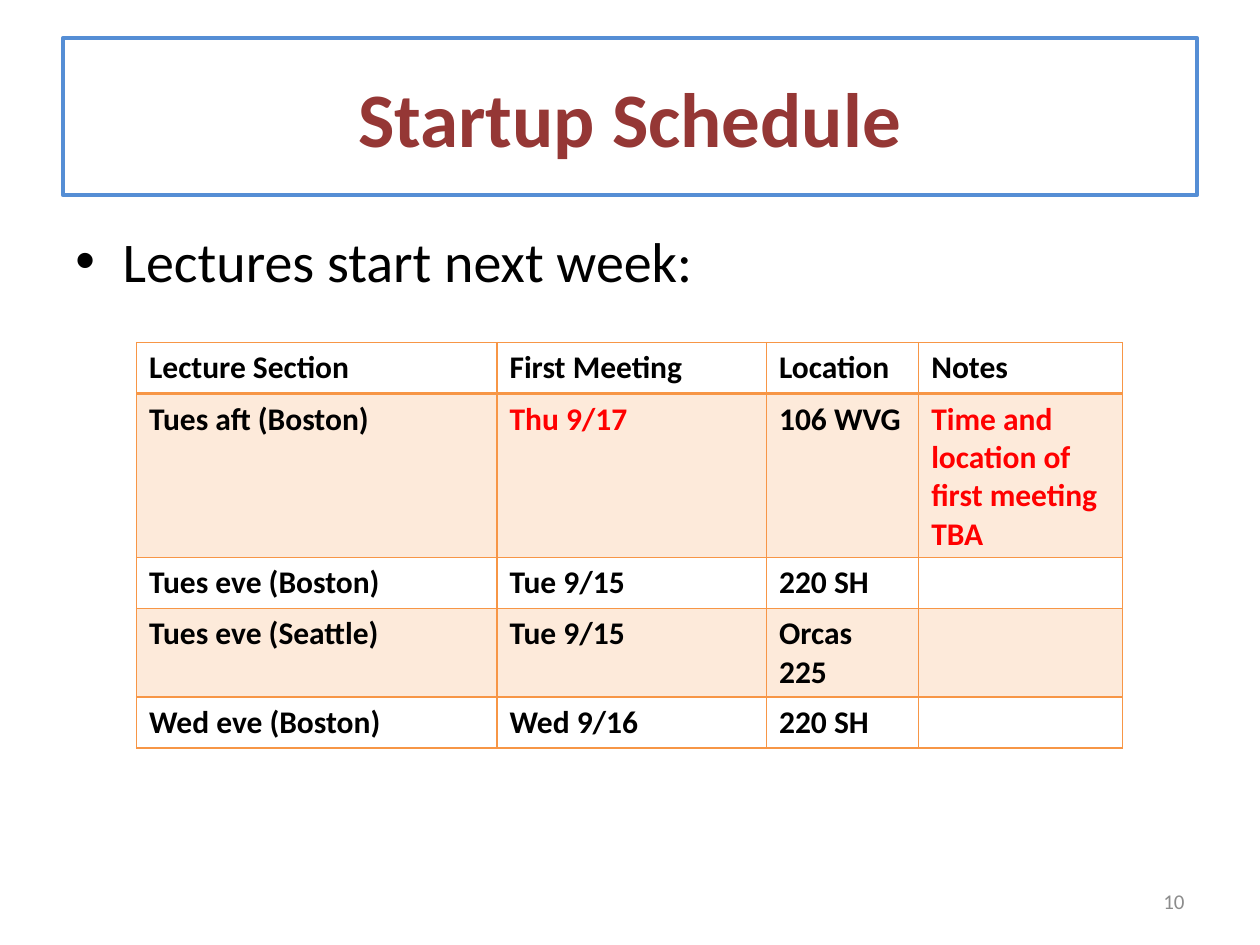
from lxml import etree
from pptx import Presentation
from pptx.dml.color import RGBColor
from pptx.enum.text import MSO_ANCHOR, PP_ALIGN
from pptx.oxml.ns import qn
from pptx.util import Pt

CENTER, RIGHT = PP_ALIGN.CENTER, PP_ALIGN.RIGHT
TOP, MIDDLE = MSO_ANCHOR.TOP, MSO_ANCHOR.MIDDLE

COLORS = {"title": "953735", "frame": "558ED5", "text": "000000",
          "alert": "FF0000", "number": "8C8C8C", "border": "F79646",
          "band": "FDEADA"}

TITLE = {"size": Pt(44), "bold": True}
BODY = {"size": Pt(32), "bold": False}
CELL = {"size": Pt(18), "bold": True}
NUMBER = {"size": Pt(12), "bold": False}

COLUMN_WIDTHS = [206, 154, 87, 116.6]
ROW_HEIGHT = 29.2
SCHEDULE = [
    ["Lecture Section", "First Meeting", "Location", "Notes"],
    ["Tues aft (Boston)", "Thu 9/17", "106 WVG",
     "Time and location of first meeting TBA"],
    ["Tues eve (Boston)", "Tue 9/15", "220 SH", ""],
    ["Tues eve (Seattle)", "Tue 9/15", "Orcas 225", ""],
    ["Wed eve (Boston)", "Wed 9/16", "220 SH", ""],
]
ALERT_CELLS = {(1, 1), (1, 3)}


def rgb(name):
    return RGBColor.from_string(COLORS[name])


def write(tf, text, values, color, align=None, anchor=TOP):
    """Fill a text frame with one formatted paragraph."""
    tf.word_wrap = True
    tf.vertical_anchor = anchor
    p = tf.paragraphs[0]
    p.alignment = align
    r = p.add_run()
    r.text = text
    for name, value in {"name": "Calibri", **values}.items():
        setattr(r.font, name, value)
    r.font.color.rgb = rgb(color)
    return p


def add_title(slide, left, top, width, height):
    sp = slide.shapes.title
    sp.left, sp.top, sp.width, sp.height = map(Pt, (left, top, width, height))
    sp.line.color.rgb = rgb("frame")
    sp.line.width = Pt(2.25)
    write(sp.text_frame, "Startup Schedule", TITLE, "title", CENTER, MIDDLE)


def add_text(slide, box, *content):
    sp = slide.shapes.add_textbox(*map(Pt, box))
    return write(sp.text_frame, *content)


def add_bullet(p, indent):
    pPr = p._p.get_or_add_pPr()
    pPr.set("marL", str(Pt(indent)))
    pPr.set("indent", str(-Pt(indent)))
    etree.SubElement(pPr, qn("a:buFont"), typeface="Arial")
    etree.SubElement(pPr, qn("a:buChar"), char="•")


def set_borders(cell, widths):
    """Draw the left, right, top and bottom borders, widths in points."""
    tcPr = cell._tc.get_or_add_tcPr()
    for i, (side, width) in enumerate(zip("LRTB", widths)):
        ln = etree.Element(qn(f"a:ln{side}"), w=str(Pt(width)))
        fill = etree.SubElement(ln, qn("a:solidFill"))
        etree.SubElement(fill, qn("a:srgbClr"), val=COLORS["border"])
        tcPr.insert(i, ln)


def add_schedule(slide, left, top):
    rows, cols = len(SCHEDULE), len(COLUMN_WIDTHS)
    table = slide.shapes.add_table(
        rows, cols, Pt(left), Pt(top),
        Pt(sum(COLUMN_WIDTHS)), Pt(rows * ROW_HEIGHT)).table
    table.first_row = table.horz_banding = False
    for column, width in zip(table.columns, COLUMN_WIDTHS):
        column.width = Pt(width)
    for i, texts in enumerate(SCHEDULE):
        table.rows[i].height = Pt(ROW_HEIGHT)
        for j, text in enumerate(texts):
            cell = table.cell(i, j)
            if i % 2:
                cell.fill.solid()
                cell.fill.fore_color.rgb = rgb("band")
            else:
                cell.fill.background()
            set_borders(cell, (1, 1, 2 if i == 1 else 1, 2 if i == 0 else 1))
            if text:
                color = "alert" if (i, j) in ALERT_CELLS else "text"
                write(cell.text_frame, text, CELL, color)


def main():
    prs = Presentation()
    prs.slide_width, prs.slide_height = Pt(720), Pt(540)
    slide = prs.slides.add_slide(prs.slide_layouts[5])
    add_title(slide, 36, 21.6, 648, 90)
    p = add_text(slide, (36, 126, 648, 356.4),
                 "Lectures start next week:", BODY, "text")
    add_bullet(p, 27)
    add_schedule(slide, 78, 195.8)
    add_text(slide, (516, 500.5, 168, 28.75),
             "10", NUMBER, "number", RIGHT, MIDDLE)
    prs.save("out.pptx")


if __name__ == "__main__":
    main()
